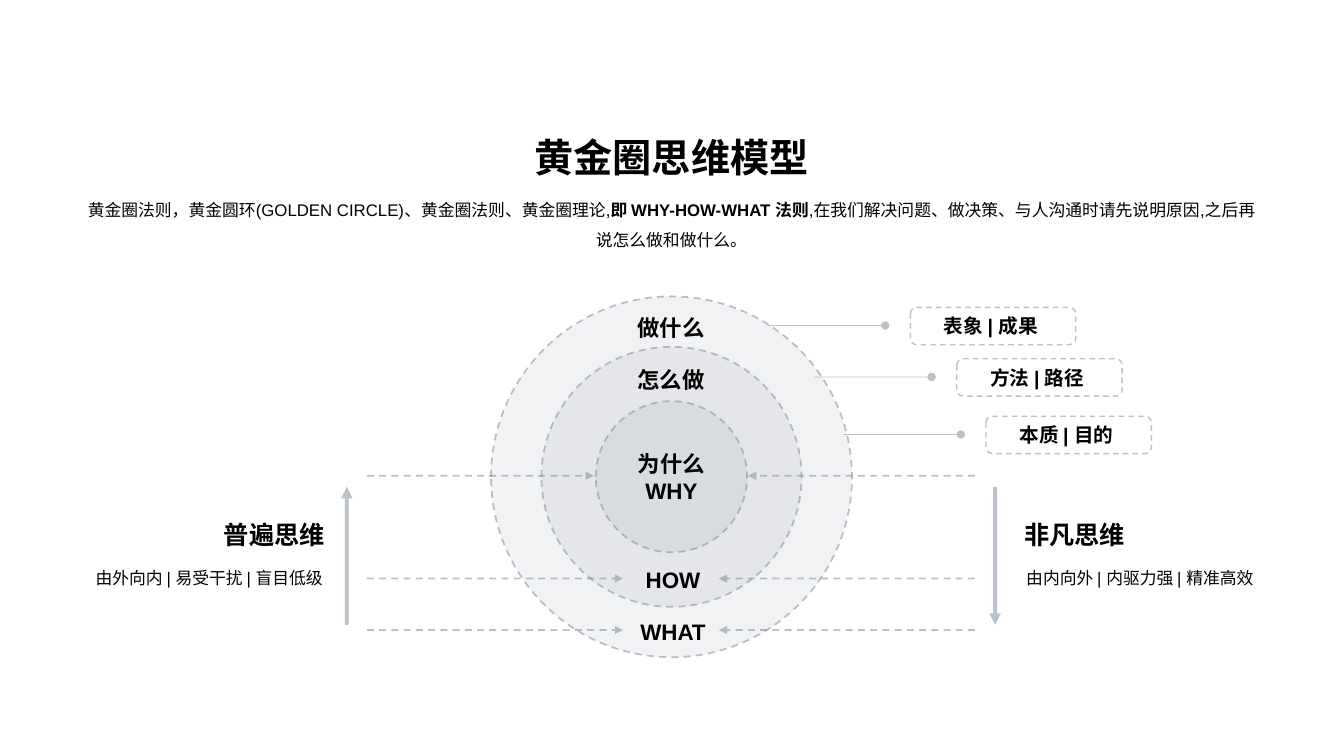
from dataclasses import dataclass

from lxml.etree import SubElement
from pptx import Presentation
from pptx.dml.color import RGBColor
from pptx.enum.dml import MSO_LINE as Dash
from pptx.enum.shapes import MSO_CONNECTOR as Link, MSO_SHAPE as Preset
from pptx.enum.text import MSO_ANCHOR as Anchor, MSO_AUTO_SIZE as Fit, PP_ALIGN as Align
from pptx.oxml.ns import qn
from pptx.util import Emu, Pt

PX = 9144
FONT = "Arial"
INK = "000000"
SLATE = "778495"
MIRROR = 1331
CENTRE_X, CENTRE_Y = 666, 473


@dataclass(frozen=True)
class Piece:
    text: str
    size: int
    bold: bool = True


@dataclass(frozen=True)
class Callout:
    x: int
    y: int
    text: str


@dataclass(frozen=True)
class Label:
    x: int
    y: int
    text: str


@dataclass(frozen=True)
class Arrow:
    x1: int
    y1: int
    x2: int
    y2: int
    weight: float = 1.25
    dashed: bool = True
    tail: str = "triangle"


@dataclass(frozen=True)
class Side:
    x: int
    align: Align
    name: str
    traits: str


CALLOUTS = [
    Callout(762, 323, "表象 | 成果 "),
    Callout(808, 374, "方法 | 路径 "),
    Callout(837, 431, "本质 | 目的 "),
]
RING_SIZES = [358, 258, 150]
CORE_LINES = ["为什么", "WHY"]
LABELS = [
    Label(603, 358, "怎么做"),
    Label(603, 306, "做什么"),
    Label(605, 608, "WHAT"),
    Label(605, 556, "HOW"),
]
INWARD = [Arrow(364, y, tip, y) for y, tip in [(472, 589), (574, 618), (625, 618)]]
OUTWARD = [Arrow(MIRROR - a.x1, a.y1, MIRROR - a.x2, a.y2) for a in INWARD]
TRENDS = [
    Arrow(344, 620, 344, 483, 2.75, False),
    Arrow(MIRROR - 344, 483, MIRROR - 344, 620, 2.75, False),
]
SIDES = [
    Side(78, Align.RIGHT, "普遍思维", "由外向内 | 易受干扰 | 盲目低级"),
    Side(1008, Align.LEFT, "非凡思维", "由内向外 | 内驱力强 | 精准高效"),
]
INTRO = [
    Piece("黄金圈法则，黄金圆环(GOLDEN CIRCLE)、黄金圈法则、黄金圈理论,", 12, False),
    Piece("即 WHY-HOW-WHAT 法则", 12),
    Piece(",在我们解决问题、做决策、与人沟通时请先说明原因,之后再说怎么做和做什么。", 12, False),
]


def px(value: int) -> Emu:
    return Emu(value * PX)


def rgb(colour: str) -> RGBColor:
    return RGBColor.from_string(colour)


def fade(shape, where: str, percent: int) -> None:
    for colour in shape._element.spPr.xpath(f"{where}/a:srgbClr"):
        SubElement(colour, qn("a:alpha")).set("val", str(percent * 1000))


def stroke(shape, weight: float, dashed: bool) -> None:
    shape.line.color.rgb = rgb(SLATE)
    shape.line.width = Pt(weight)
    shape.line.dash_style = Dash.DASH if dashed else Dash.SOLID
    fade(shape, "a:ln/a:solidFill", 50)


def write(box, lines: list[list[Piece]], align=Align.CENTER, anchor=Anchor.BOTTOM,
          spacing: float = 1.0) -> None:
    frame = box.text_frame
    frame.word_wrap = True
    frame.auto_size = Fit.NONE
    frame.vertical_anchor = anchor
    for index, pieces in enumerate(lines):
        para = frame.add_paragraph() if index else frame.paragraphs[0]
        para.alignment = align
        para.line_spacing = spacing
        para.space_before = Pt(0)
        for piece in pieces:
            span = para.add_run()
            span.text = piece.text
            span.font.name = FONT
            span.font.size = Pt(piece.size)
            span.font.bold = piece.bold
            span.font.color.rgb = rgb(INK)


def place(box, left: int, top: int, width: int, height: int) -> None:
    box.left, box.top, box.width, box.height = map(px, (left, top, width, height))


def add_text(page, left: int, top: int, width: int, height: int):
    return page.shapes.add_textbox(*map(px, (left, top, width, height)))


def add_preset(page, preset: Preset, left: int, top: int, width: int, height: int):
    shape = page.shapes.add_shape(preset, *map(px, (left, top, width, height)))
    shape.shadow.inherit = False
    shape.fill.background()
    return shape


def draw_heading(page) -> None:
    title, body = page.placeholders
    place(title, 72, 124, 1188, 60)
    write(title, [[Piece("黄金圈思维模型", 28)]])
    place(body, 72, 183, 1188, 67)
    properties = body.text_frame.paragraphs[0]._p.get_or_add_pPr()
    properties.set("marL", "0")
    properties.set("indent", "0")
    SubElement(properties, qn("a:buNone"))
    write(body, [INTRO], anchor=Anchor.TOP, spacing=1.5)


def draw_arrow(page, arrow: Arrow) -> None:
    line = page.shapes.add_connector(
        Link.STRAIGHT, *map(px, (arrow.x1, arrow.y1, arrow.x2, arrow.y2)))
    stroke(line, arrow.weight, arrow.dashed)
    SubElement(line.line._get_or_add_ln(), qn("a:tailEnd")).set("type", arrow.tail)
    SubElement(line._element.spPr, qn("a:effectLst"))


def draw_callout(page, callout: Callout) -> None:
    x, y = callout.x, callout.y
    draw_arrow(page, Arrow(x, y, x + 116, y, 0.5, False, "oval"))
    box = add_preset(page, Preset.ROUNDED_RECTANGLE, x + 141, y - 18, 164, 37)
    stroke(box, 1, True)
    write(box, [[Piece(callout.text, 14)]])


def draw_ring(page, size: int):
    ring = add_preset(page, Preset.OVAL, CENTRE_X - size // 2, CENTRE_Y - size // 2, size, size)
    ring.fill.solid()
    ring.fill.fore_color.rgb = rgb(SLATE)
    fade(ring, "a:solidFill", 10)
    stroke(ring, 1.25, True)
    return ring


def draw_side(page, side: Side) -> None:
    traits = add_text(page, side.x, 554, 252, 82)
    write(traits, [[Piece(side.traits, 12, False)]], side.align, Anchor.TOP, 1.2)
    name = add_text(page, side.x, 470, 252, 75)
    frame = name.text_frame
    frame.margin_left = frame.margin_right = px(8)
    frame.margin_top = frame.margin_bottom = 0
    write(name, [[Piece(side.name, 18)]], side.align)


def main() -> None:
    deck = Presentation()
    deck.slide_width, deck.slide_height = px(1333), px(750)
    page = deck.slides.add_slide(deck.slide_layouts[1])
    draw_heading(page)
    for callout in CALLOUTS:
        draw_callout(page, callout)
    rings = [draw_ring(page, size) for size in RING_SIZES]
    write(rings[-1], [[Piece(line, 16)] for line in CORE_LINES], anchor=Anchor.MIDDLE)
    for label in LABELS:
        write(add_text(page, label.x, label.y, 125, 37), [[Piece(label.text, 16)]])
    for arrow in OUTWARD + INWARD + TRENDS:
        draw_arrow(page, arrow)
    for side in SIDES:
        draw_side(page, side)
    deck.save("out.pptx")


if __name__ == "__main__":
    main()
